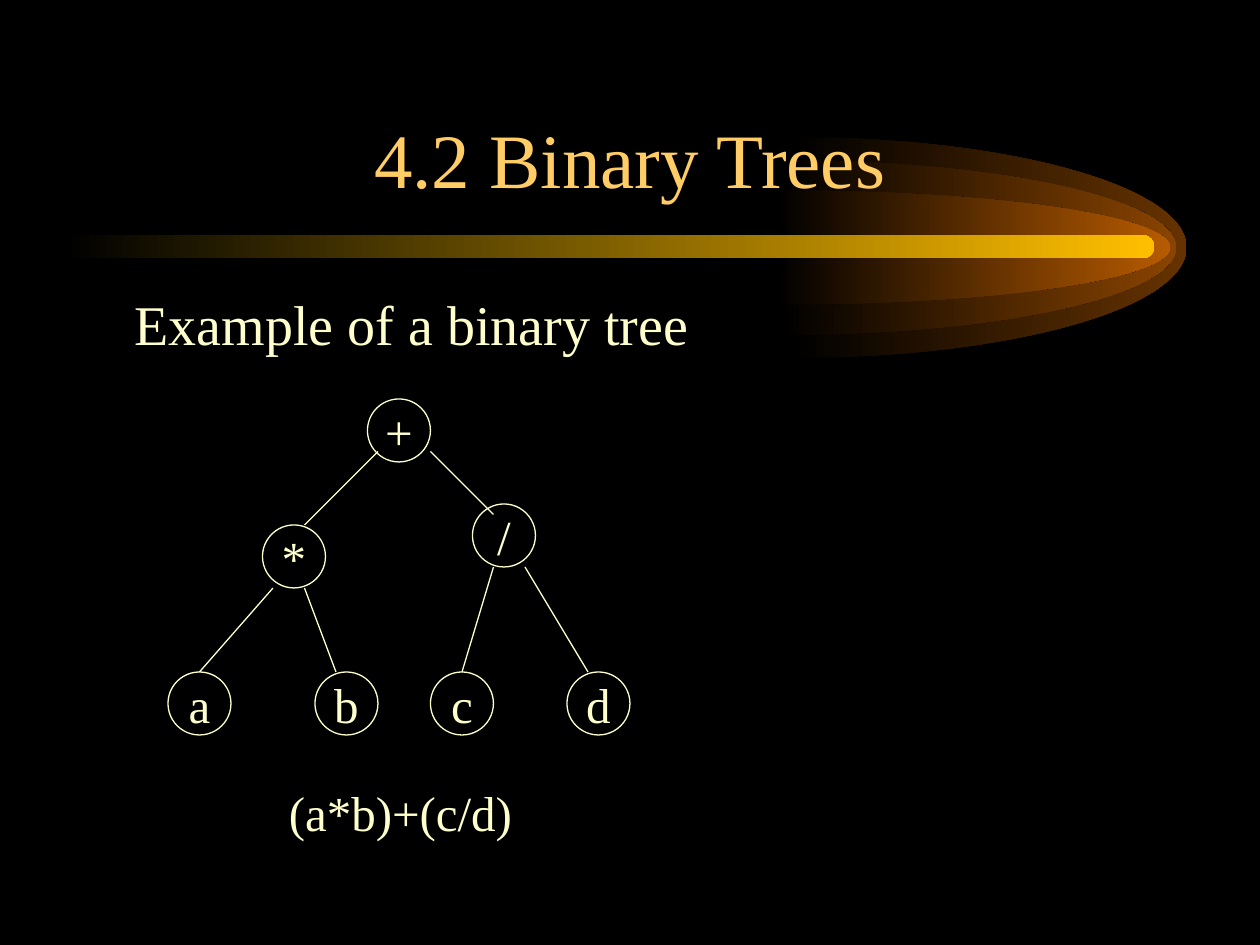
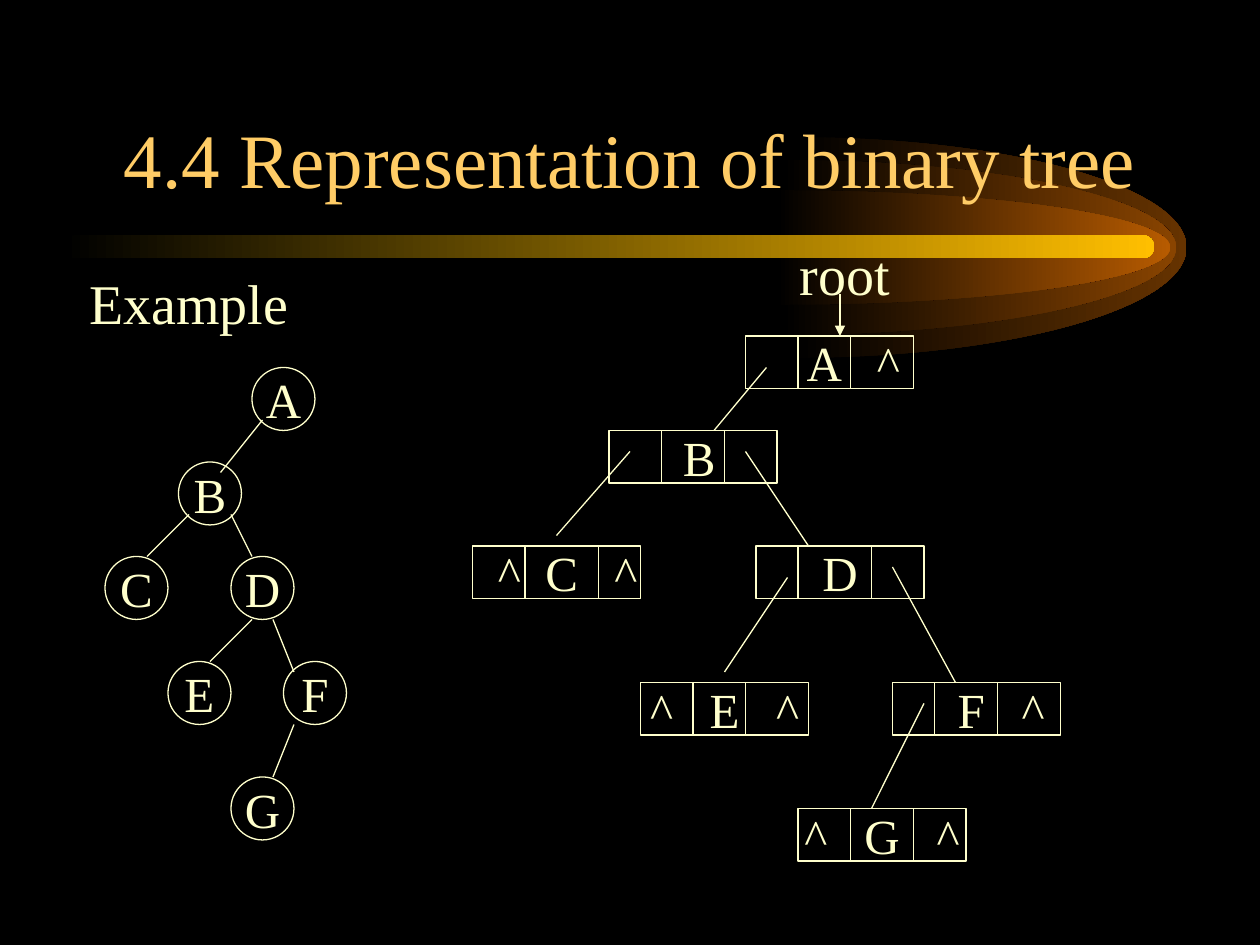
import pptx
import pptx.dml.color
import pptx.enum.shapes
import pptx.enum.text
import pptx.oxml.ns
import pptx.util
from lxml import etree
from pptx.util import Cm

COLORS = {
    "background": "000000",
    "title": "FFCC66",
    "text": "FFFFCC",
    "bar": "FFBF00",
}
FONT = "Times New Roman"
GRID = 2.54 / 12  # every diagram position is a whole step of 1/12 inch
NODE = 6  # circle diameter, in steps
RECORD_WIDTH, RECORD_HEIGHT = 16, 5

# Comet glow: left, height (cm) and end colour, from back to front
GLOWS = [(15.98, 4.45, "663300"), (15.77, 3.53, "894400"), (15.65, 2.31, "B75B00")]
GLOW_WIDTH, GLOW_MIDDLE = 7.94, 4.99
CURVE = 0.55  # handle length of a quarter ellipse, as a share of its radius

# Expression tree: label, left, top; then edges as x1, y1, x2, y2
EXPRESSION_NODES = [
    ("+", 35, 38), ("*", 25, 50), ("/", 45, 48),
    ("a", 16, 64), ("b", 30, 64), ("c", 41, 64), ("d", 54, 64),
]
EXPRESSION_EDGES = [
    (36, 43, 29, 50), (41, 43, 47, 49), (26, 56, 19, 64),
    (29, 56, 32, 64), (47, 54, 44, 64), (50, 54, 56, 64),
]

# Letter tree
LETTER_NODES = [
    ("A", 24, 35), ("B", 17, 44), ("C", 10, 53), ("D", 22, 53),
    ("E", 16, 63), ("F", 27, 63), ("G", 22, 74),
]
LETTER_EDGES = [
    (25, 40, 21, 45), (18, 49, 14, 53), (22, 49, 24, 53),
    (24, 59, 20, 63), (26, 59, 28, 64), (28, 69, 26, 74),
]

# Linked records: left, top, divider offsets, {centre of mark: mark}
RECORDS = [
    (71, 32, (5, 10), {7.5: "A", 13.6: "^"}),
    (58, 41, (5, 11), {8.6: "B"}),
    (85, 65, (4, 10), {7.5: "F", 13.4: "^"}),
    (61, 65, (5, 10), {2: "^", 8: "E", 14: "^"}),
    (72, 52, (4, 11), {8: "D"}),
    (45, 52, (5, 12), {3.5: "^", 8.5: "C", 14.6: "^"}),
    (76, 77, (5, 11), {1.7: "^", 8: "G", 14.3: "^"}),
]
RECORD_LINKS = [
    (73, 35, 68, 41), (60, 43, 53, 51), (71, 43, 77, 52),
    (75, 55, 69, 64), (85, 54, 91, 65), (88, 67, 83, 77),
]


def steps(*counts):
    return [Cm(count * GRID) for count in counts]


def color(value):
    return pptx.dml.color.RGBColor.from_string(value)


class TreeDeck:
    """Holds the shared style and the current slide."""

    def __init__(self):
        self.presentation = pptx.Presentation()
        self.presentation.slide_width = Cm(25.4)
        self.presentation.slide_height = Cm(19.05)

    def start_slide(self, title):
        self.slide = self.presentation.slides.add_slide(self.presentation.slide_layouts[6])
        self.shapes = self.slide.shapes
        self.tops = {}  # middle of a shape's top side -> shape
        fill = self.slide.background.fill
        fill.solid()
        fill.fore_color.rgb = color(COLORS["background"])
        for left, height, end_color in GLOWS:
            self.glow(left, height, end_color)
        self.bar()
        self.title(title)

    # Decoration
    def fade(self, shape, end_color):
        shape.shadow.inherit = False
        shape.line.fill.background()
        shape.fill.gradient()
        shape.fill.gradient_angle = 0
        for stop, value in zip(shape.fill.gradient_stops, (COLORS["background"], end_color)):
            stop.color.rgb = color(value)

    def glow(self, left, height, end_color):
        """Half ellipse: two curves, then back to the middle of the flat side."""
        outline = [(0, -1), (CURVE, -1), (1, -CURVE), (1, 0),
                   (1, CURVE), (CURVE, 1), (0, 1), (0, 0)]
        points = [(Cm(left + GLOW_WIDTH * x), Cm(GLOW_MIDDLE + height / 2 * y))
                  for x, y in outline]
        builder = self.shapes.build_freeform(*points[0])
        builder.add_line_segments(points[1:], close=True)
        shape = builder.convert_to_shape()
        # Turn each three straight segments into one curve
        qn = pptx.oxml.ns.qn
        segments = list(shape._element.iter(qn("a:lnTo")))
        for start in (0, 3):
            curve = etree.Element(qn("a:cubicBezTo"))
            segments[start].addprevious(curve)
            for segment in segments[start:start + 3]:
                curve.append(segment[0])
                segment.getparent().remove(segment)
        self.fade(shape, end_color)

    def bar(self):
        shape = self.shapes.add_shape(
            pptx.enum.shapes.MSO_SHAPE.ROUNDED_RECTANGLE, Cm(1.27), Cm(4.74), Cm(22), Cm(0.47))
        shape.adjustments[0] = 0.5
        self.fade(shape, COLORS["bar"])

    # Text
    def run(self, paragraph, text, size, color_name="text"):
        run = paragraph.add_run()
        run.text = text
        run.font.name = FONT
        run.font.size = pptx.util.Pt(size)
        run.font.color.rgb = color(COLORS[color_name])

    def text_box(self, left, top, width, height, wrap=True):
        frame = self.shapes.add_textbox(*steps(left, top, width, height)).text_frame
        frame.word_wrap = wrap
        return frame

    def title(self, text):
        frame = self.text_box(9, 5, 102, 15)
        frame.vertical_anchor = pptx.enum.text.MSO_ANCHOR.BOTTOM
        paragraph = frame.paragraphs[0]
        paragraph.alignment = pptx.enum.text.PP_ALIGN.CENTER
        self.run(paragraph, text, 44, "title")

    def body(self, left, top, width, height, lines):
        """Each line: text, size, left indent and space before in points."""
        frame = self.text_box(left, top, width, height)
        for index, (text, size, indent, space) in enumerate(lines):
            paragraph = frame.add_paragraph() if index else frame.paragraphs[0]
            paragraph._p.get_or_add_pPr().set("marL", str(pptx.util.Pt(indent)))
            if space:
                paragraph.space_before = pptx.util.Pt(space)
            self.run(paragraph, text, size)

    def label(self, left, top, width, height, text):
        self.run(self.text_box(left, top, width, height, False).paragraphs[0], text, 32)

    # Diagram
    def outline(self, kind, left, top, width, height):
        shape = self.shapes.add_shape(kind, *steps(left, top, width, height))
        shape.shadow.inherit = False
        shape.fill.background()
        shape.line.color.rgb = color(COLORS["text"])
        shape.line.width = pptx.util.Pt(0.75)
        frame = shape.text_frame
        frame.margin_left = frame.margin_right = 0
        frame.vertical_anchor = pptx.enum.text.MSO_ANCHOR.MIDDLE
        self.tops[left + width / 2, top] = shape
        return frame

    def node(self, text, left, top):
        frame = self.outline(pptx.enum.shapes.MSO_SHAPE.OVAL, left, top, NODE, NODE)
        frame.word_wrap = False
        paragraph = frame.paragraphs[0]
        paragraph.alignment = pptx.enum.text.PP_ALIGN.CENTER
        self.run(paragraph, text, 28)

    def record(self, left, top, dividers, marks):
        frame = self.outline(pptx.enum.shapes.MSO_SHAPE.RECTANGLE,
                             left, top, RECORD_WIDTH, RECORD_HEIGHT)
        frame.word_wrap = True
        paragraph = frame.paragraphs[0]
        paragraph.alignment = pptx.enum.text.PP_ALIGN.LEFT
        qn = pptx.oxml.ns.qn
        tabs = etree.SubElement(paragraph._p.get_or_add_pPr(), qn("a:tabLst"))
        for center in marks:
            etree.SubElement(tabs, qn("a:tab"), pos=str(steps(center)[0]), algn="ctr")
        self.run(paragraph, "".join("\t" + mark for mark in marks.values()), 28)
        for offset in dividers:
            self.line(left + offset, top, left + offset, top + RECORD_HEIGHT)

    def line(self, x1, y1, x2, y2, arrow=False):
        connector = self.shapes.add_connector(
            pptx.enum.shapes.MSO_CONNECTOR.STRAIGHT, *steps(x1, y1, x2, y2))
        connector.line.color.rgb = color(COLORS["text"])
        connector.line.width = pptx.util.Pt(0.75)
        qn = pptx.oxml.ns.qn
        if arrow:
            etree.SubElement(connector.line._get_or_add_ln(), qn("a:tailEnd"), type="triangle")
        etree.SubElement(connector._element.spPr, qn("a:effectLst"))
        if (x2, y2) in self.tops:
            connector.end_connect(self.tops[x2, y2], 0)

    def tree(self, nodes, edges):
        for node in nodes:
            self.node(*node)
        for edge in edges:
            self.line(*edge)


def main():
    deck = TreeDeck()

    # Binary tree of an expression
    deck.start_slide("4.2 Binary Trees")
    deck.body(9, 27, 102, 54, [("Example of a binary tree", 32, 16, 0),
                               ("(a*b)+(c/d)", 28, 104, 243)])
    deck.tree(EXPRESSION_NODES, EXPRESSION_EDGES)

    # Tree and its linked records
    deck.start_slide("4.4 Representation of binary tree")
    deck.body(6, 25, 105, 59, [("Example", 32, 8, 0)])
    deck.tree(LETTER_NODES, LETTER_EDGES)
    for record in RECORDS:
        deck.record(*record)
    for link in RECORD_LINKS:
        deck.line(*link)
    deck.label(75, 22.2, 11, 7.7, "root")
    deck.line(80, 28, 80, 32, arrow=True)

    deck.presentation.save("out.pptx")


if __name__ == "__main__":
    main()
